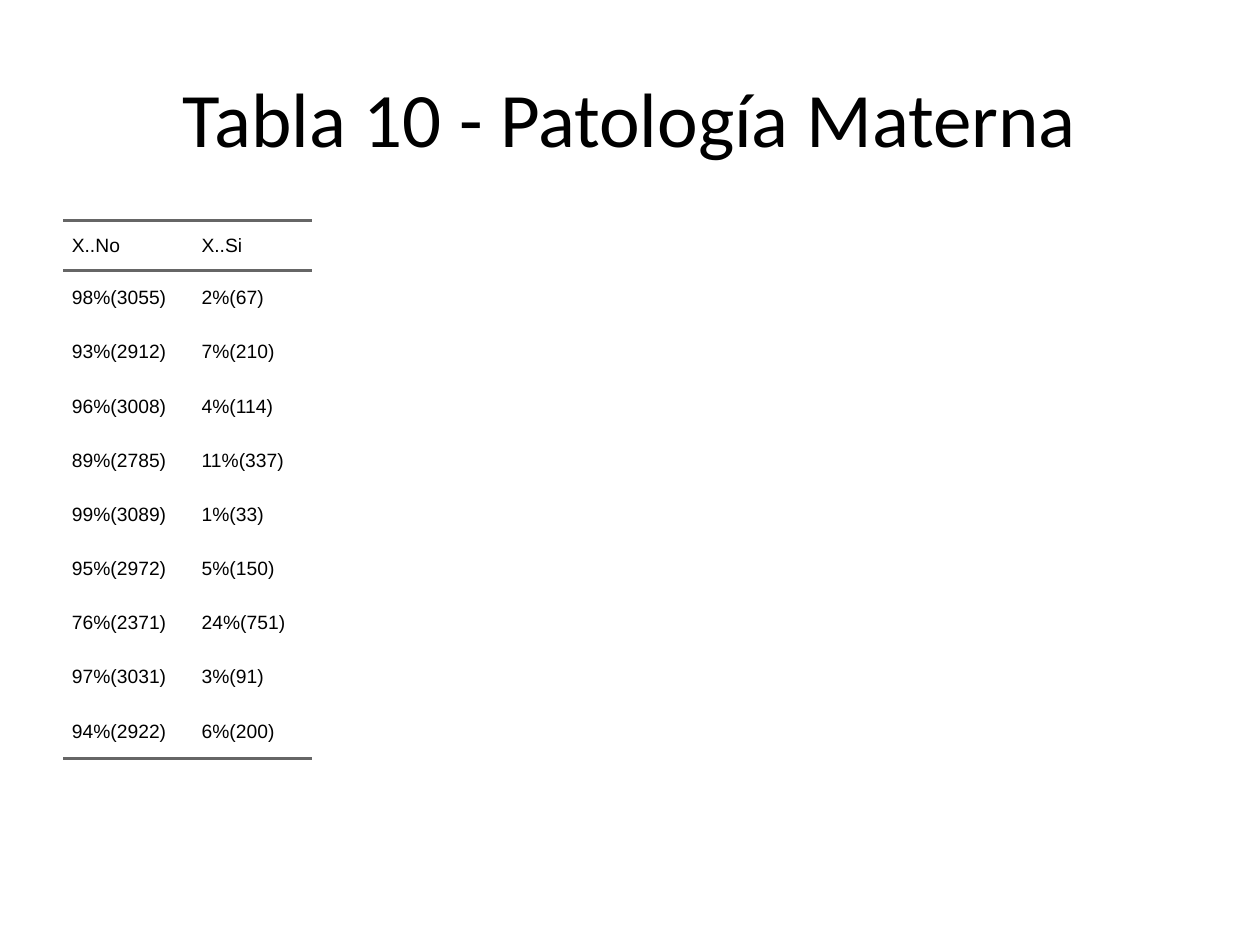
from dataclasses import dataclass
from lxml.etree import SubElement
from pptx import Presentation
from pptx.dml.color import RGBColor
from pptx.enum.text import MSO_ANCHOR, PP_ALIGN
from pptx.oxml.ns import qn
from pptx.util import Inches, Pt


@dataclass
class Theme:
    ink: str = "000000"
    rule: str = "666666"
    title_font: str = "Calibri"
    body_font: str = "Arial"
    title_size: int = 44
    body_size: int = 11
    rule_width: int = 2


theme = Theme()


def add_run(p, text, font, size):
    r = p.add_run()
    r.text = text
    r.font.name = font
    r.font.size = Pt(size)
    r.font.color.rgb = RGBColor.from_string(theme.ink)


def add_border(cell, side):
    ln = SubElement(cell._tc.get_or_add_tcPr(), qn(f"a:ln{side}"), w=str(Pt(theme.rule_width)))
    fill = SubElement(ln, qn("a:solidFill"))
    SubElement(fill, qn("a:srgbClr"), val=theme.rule)


prs = Presentation()
prs.slide_width = Inches(10)
prs.slide_height = Inches(7.5)
s = prs.slides.add_slide(prs.slide_layouts[5])

title = s.shapes.title
title.left, title.top = Inches(0.5), Inches(0.3)
title.width, title.height = Inches(9), Inches(1.25)
tf = title.text_frame
tf.vertical_anchor = MSO_ANCHOR.MIDDLE
p = tf.paragraphs[0]
p.alignment = PP_ALIGN.CENTER
add_run(p, "Tabla 10 - Patología Materna", theme.title_font, theme.title_size)

rows = [
    ("X..No", "X..Si"),
    ("98%(3055)", "2%(67)"),
    ("93%(2912)", "7%(210)"),
    ("96%(3008)", "4%(114)"),
    ("89%(2785)", "11%(337)"),
    ("99%(3089)", "1%(33)"),
    ("95%(2972)", "5%(150)"),
    ("76%(2371)", "24%(751)"),
    ("97%(3031)", "3%(91)"),
    ("94%(2922)", "6%(200)"),
]
col_widths = [1.03, 0.95]
header_height, row_height = 0.4, 0.43
last = len(rows) - 1
borders = {0: "TB", last: "B"}

frame = s.shapes.add_table(
    len(rows), len(col_widths), Inches(0.5), Inches(1.75),
    Inches(sum(col_widths)), Inches(header_height + last * row_height))
table = frame.table
table.first_row = False
table.horz_banding = False
style = table._tbl.tblPr.find(qn("a:tableStyleId"))
style.text = "{2D5ABB26-0587-4C30-8999-92F81FD0307C}"
for column, width in zip(table.columns, col_widths):
    column.width = Inches(width)

for i, values in enumerate(rows):
    table.rows[i].height = Inches(row_height if i else header_height)
    for j, value in enumerate(values):
        cell = table.cell(i, j)
        cell.margin_left = cell.margin_right = cell.margin_top = cell.margin_bottom = 0
        cell.vertical_anchor = MSO_ANCHOR.MIDDLE
        for side in borders.get(i, ""):
            add_border(cell, side)
        cell.fill.background()
        p = cell.text_frame.paragraphs[0]
        p.alignment = PP_ALIGN.LEFT
        p.space_before = p.space_after = Pt(5)
        pPr = p._p.get_or_add_pPr()
        pPr.set("marL", str(Inches(0.07)))
        pPr.set("indent", "0")
        add_run(p, value, theme.body_font, theme.body_size)

prs.save("out.pptx")
